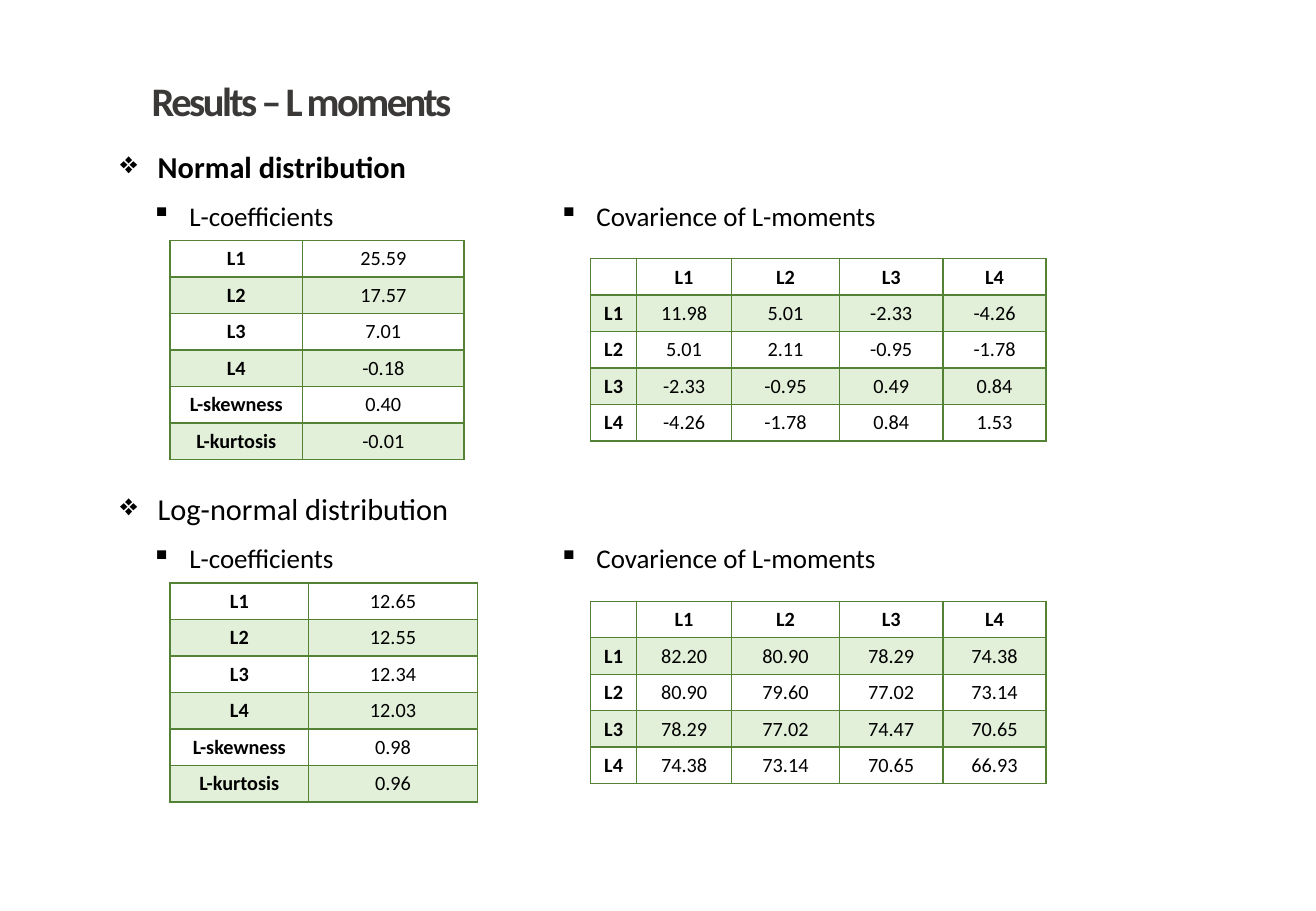
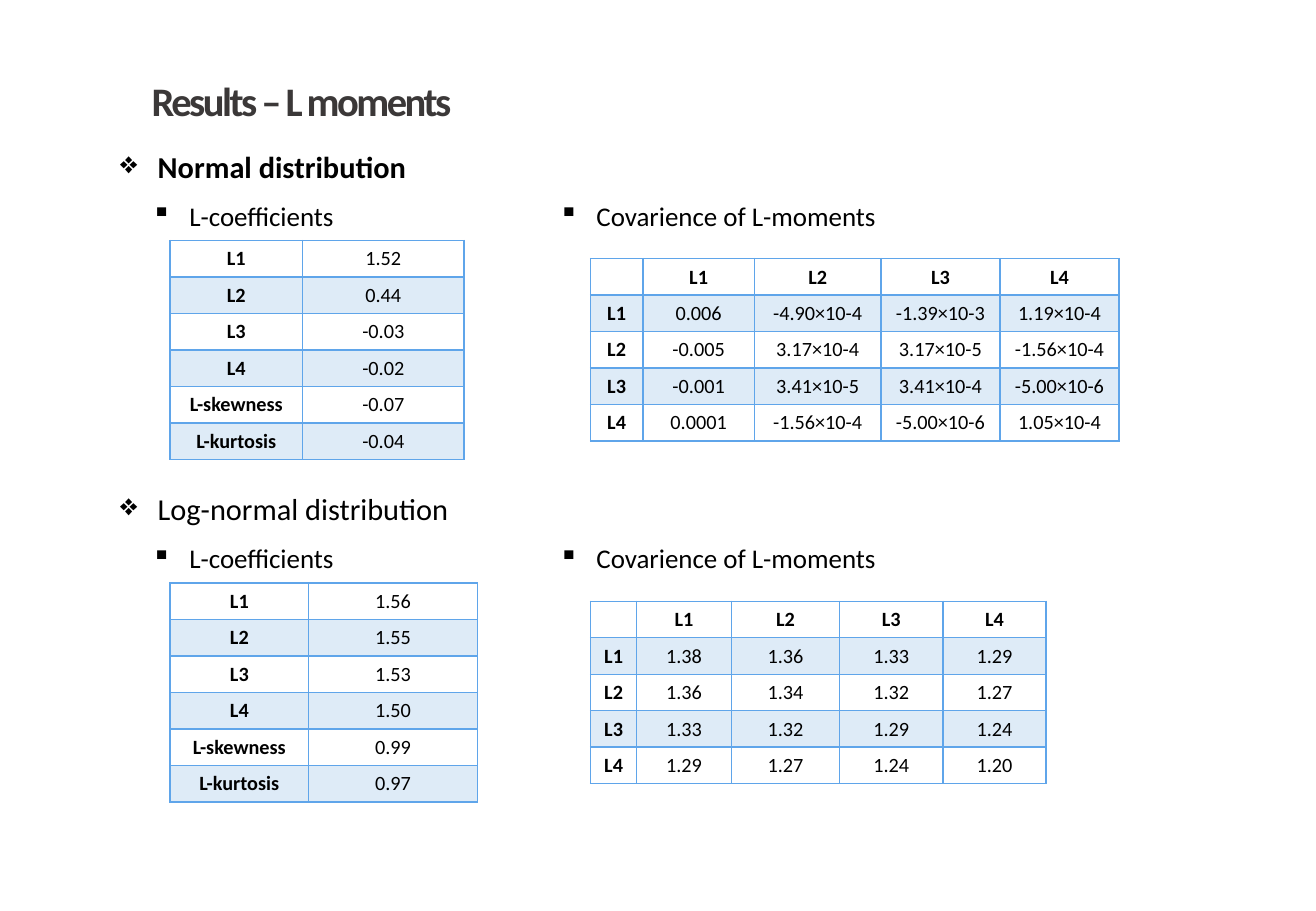
from itertools import product

import lxml.etree
import pptx
import pptx.dml.color
import pptx.enum.text
import pptx.oxml.ns
import pptx.util

Inches, Pt = pptx.util.Inches, pptx.util.Pt
RGB = pptx.dml.color.RGBColor.from_string
qn = pptx.oxml.ns.qn
SubElement = lxml.etree.SubElement

THEME = {
    "font": "Calibri",
    "title": {"size": 24, "color": "3B3838", "bold": True},
    "section": {"size": 18, "color": "000000"},
    "subhead": {"size": 16, "color": "000000"},
    "cell": {"size": 12, "color": "000000"},
    "green": {"line": "548235", "band": "E2F0D9"},
    "blue": {"line": "5FA5EA", "band": "DEEBF7"},
}
LEFT, RIGHT = 1.15, 4.5
ROW_H = 0.3
MOMENTS = ["L1", "L2", "L3", "L4"]
COEFFICIENTS = MOMENTS + ["L-skewness", "L-kurtosis"]
COV_COLS = [0.38, 0.78, 0.89, 0.85, 0.85]
WIDE_COV_COLS = [0.43, 0.92, 1.04, 0.98, 0.98]

# Each slide: colour scheme, then per distribution the coefficients,
# the covariance matrix and the covariance column widths.
SLIDES = [
    ("green", [
        ("25.59 17.57 7.01 -0.18 0.40 -0.01",
         ["11.98 5.01 -2.33 -4.26", "5.01 2.11 -0.95 -1.78",
          "-2.33 -0.95 0.49 0.84", "-4.26 -1.78 0.84 1.53"], COV_COLS),
        ("12.65 12.55 12.34 12.03 0.98 0.96",
         ["82.20 80.90 78.29 74.38", "80.90 79.60 77.02 73.14",
          "78.29 77.02 74.47 70.65", "74.38 73.14 70.65 66.93"], COV_COLS),
    ]),
    ("blue", [
        ("1.52 0.44 -0.03 -0.02 -0.07 -0.04",
         ["0.006 -4.90×10-4 -1.39×10-3 1.19×10-4",
          "-0.005 3.17×10-4 3.17×10-5 -1.56×10-4",
          "-0.001 3.41×10-5 3.41×10-4 -5.00×10-6",
          "0.0001 -1.56×10-4 -5.00×10-6 1.05×10-4"], WIDE_COV_COLS),
        ("1.56 1.55 1.53 1.50 0.99 0.97",
         ["1.38 1.36 1.33 1.29", "1.36 1.34 1.32 1.27",
          "1.33 1.32 1.29 1.24", "1.29 1.27 1.24 1.20"], COV_COLS),
    ]),
]
# Heading, vertical offset, bold, coefficient column widths
SECTIONS = [
    ("Normal distribution", 0, True, [1.09, 1.33]),
    ("Log-normal distribution", 2.82, False, [1.14, 1.39]),
]


def add_text(s, box, text, style, bullet=None, bold=False):
    """Add a one-line text box, with a hanging bullet if given; return its run."""
    tb = s.shapes.add_textbox(*map(Inches, box))
    tf = tb.text_frame
    tf.word_wrap = True
    tf.auto_size = pptx.enum.text.MSO_AUTO_SIZE.SHAPE_TO_FIT_TEXT
    p = tf.paragraphs[0]
    if bullet:
        pPr = p._p.get_or_add_pPr()
        pPr.set("marL", str(Inches(0.31)))
        pPr.set("indent", str(-Inches(0.31)))
        SubElement(pPr, qn("a:buChar"), char=bullet)
    r = p.add_run()
    r.text = text
    look = THEME[style]
    for name, value in {"name": THEME["font"], "size": Pt(look["size"]),
                        "bold": look.get("bold", bold)}.items():
        setattr(r.font, name, value)
    r.font.color.rgb = RGB(look["color"])
    return r


def add_grid(s, left, top, widths, rows, scheme, header):
    """Add a bordered table with every second row tinted and bold labels."""
    frame = s.shapes.add_table(len(rows), len(widths), Inches(left), Inches(top),
                               Inches(sum(widths)), Inches(ROW_H * len(rows)))
    table = frame.table
    table.first_row = table.horz_banding = False
    for column, width in zip(table.columns, widths):
        column.width = Inches(width)
    look = THEME["cell"]
    for i, j in product(range(len(rows)), range(len(widths))):
        cell = table.cell(i, j)
        tcPr = cell._tc.get_or_add_tcPr()
        for side in ("a:lnL", "a:lnR", "a:lnT", "a:lnB"):
            ln = SubElement(tcPr, qn(side), w=str(Pt(1)))
            fill = SubElement(ln, qn("a:solidFill"))
            SubElement(fill, qn("a:srgbClr"), val=scheme["line"])
        if i % 2:
            cell.fill.solid()
            cell.fill.fore_color.rgb = RGB(scheme["band"])
        else:
            cell.fill.background()
        p = cell.text_frame.paragraphs[0]
        p.alignment = pptx.enum.text.PP_ALIGN.CENTER
        if not rows[i][j]:
            # An empty cell keeps the small type size so its row stays low
            SubElement(p._p, qn("a:endParaRPr"), sz=str(look["size"] * 100))
            continue
        r = p.add_run()
        r.text = rows[i][j]
        for name, value in {"name": THEME["font"], "size": Pt(look["size"]),
                            "bold": j == 0 or (header and i == 0)}.items():
            setattr(r.font, name, value)
        r.font.color.rgb = RGB(look["color"])


prs = pptx.Presentation()
prs.slide_width, prs.slide_height = Inches(10.83), Inches(7.5)

for scheme_name, distributions in SLIDES:
    s = prs.slides.add_slide(prs.slide_layouts[6])
    scheme = THEME[scheme_name]
    title = add_text(s, (LEFT, 0.58, 4.35, 0.5), "Results – L moments", "title")
    title.font._element.set("spc", "-150")

    for section, data in zip(SECTIONS, distributions):
        heading, dy, bold, coef_cols = section
        coefficients, covariance, cov_cols = data
        add_text(s, (0.89, 1.17 + dy, 3.97, 0.4), heading, "section", "❖", bold)
        for left, text in ((LEFT, "L-coefficients"), (RIGHT, "Covarience of L-moments")):
            add_text(s, (left, 1.59 + dy, 4.01, 0.37), text, "subhead", "▪")

        coef_rows = list(zip(COEFFICIENTS, coefficients.split()))
        add_grid(s, 1.4, 1.98 + dy, coef_cols, coef_rows, scheme, header=False)
        cov_rows = [[""] + MOMENTS]
        cov_rows += [[m] + line.split() for m, line in zip(MOMENTS, covariance)]
        add_grid(s, 4.86, 2.13 + dy, cov_cols, cov_rows, scheme, header=True)

prs.save("out.pptx")
